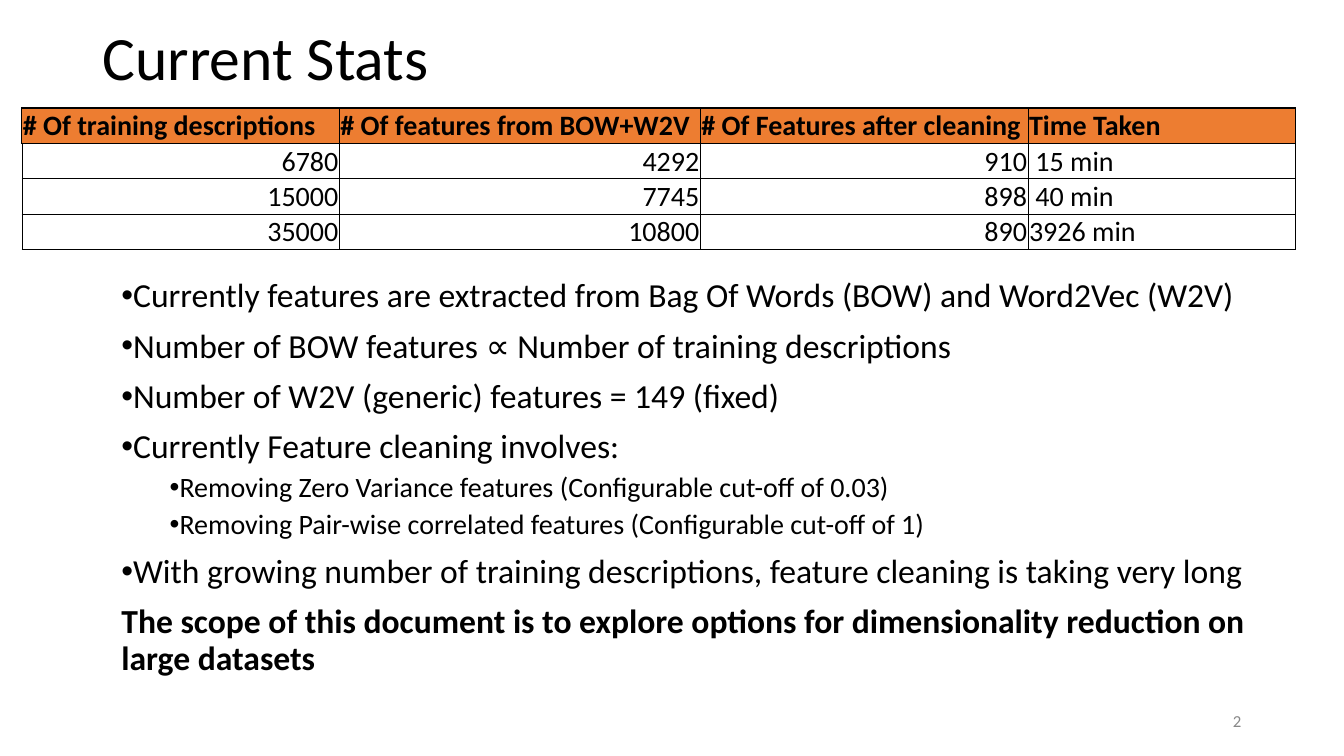
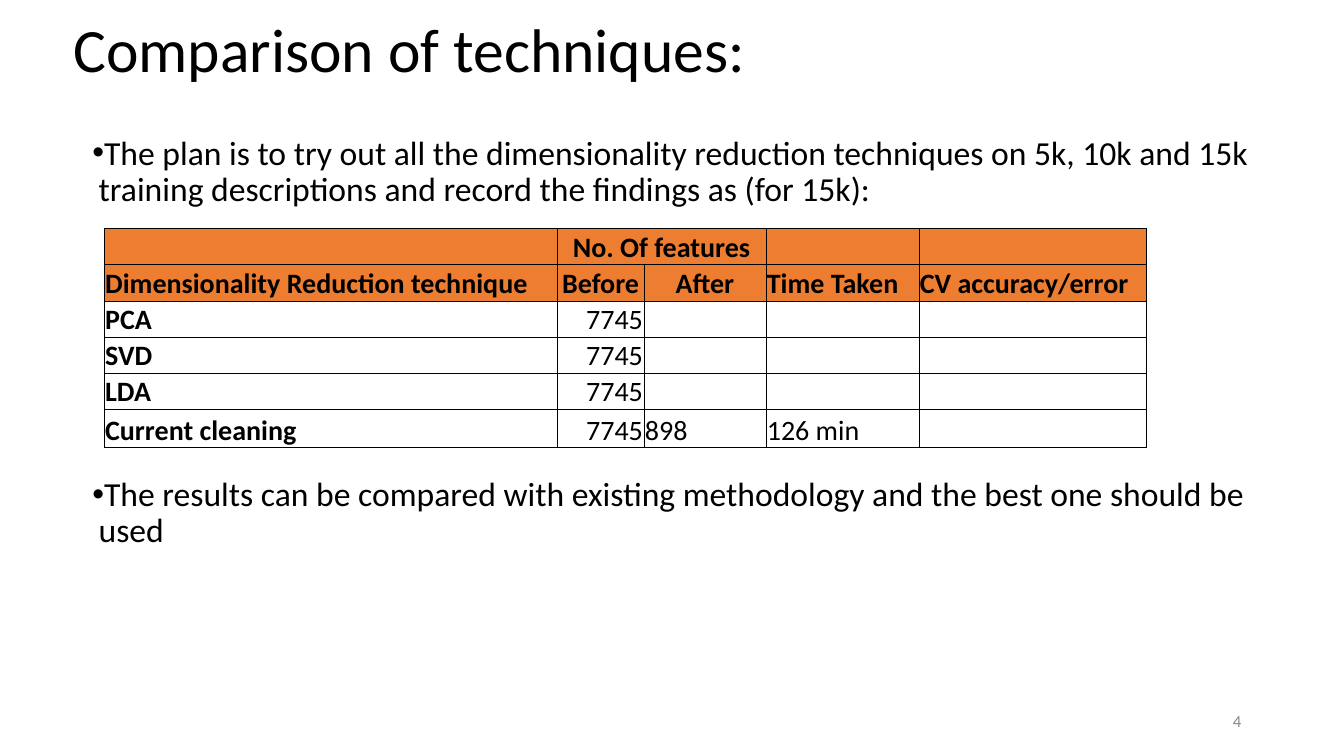
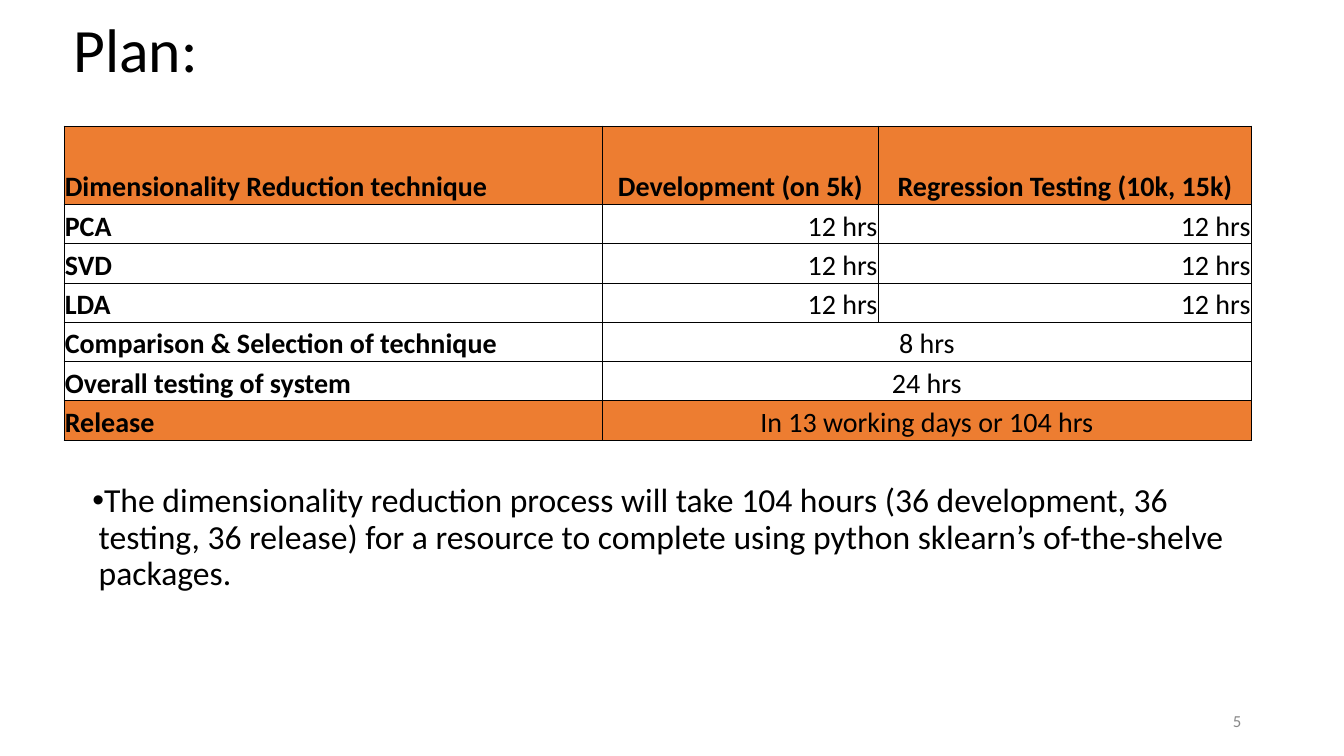
from typing import NamedTuple

from lxml.etree import SubElement
from pptx import Presentation
from pptx.dml.color import RGBColor
from pptx.enum.text import MSO_ANCHOR as Anchor, MSO_AUTO_SIZE as AutoSize, PP_ALIGN as Align
from pptx.oxml.ns import qn
from pptx.util import Inches, Pt

WIDTH, HEIGHT = Inches(13.33), Inches(7.5)
COLUMN, ROW = WIDTH / 160, HEIGHT / 90
FONT = "Calibri"
BLACK, GREY, ORANGE = "000000", "888888", "ED7D31"
ALIGNMENTS = {"l": Align.LEFT, "c": Align.CENTER, "r": Align.RIGHT}


class Box(NamedTuple):
    left: float
    top: float
    width: float
    height: float

    def emu(self):
        return (int(self.left * COLUMN), int(self.top * ROW),
                int(self.width * COLUMN), int(self.height * ROW))


class Level(NamedTuple):
    indent: float
    hang: float
    size: int
    before: int
    depth: int = 0
    bold: bool = False


POINT = Level(3, 0.75, 24, 10)
SUBPOINT = Level(9, 1, 20, 5, depth=1)
CONCLUSION = Level(2.25, 0, 24, 10, bold=True)
AFTER_TABLE = POINT._replace(before=192)

HIGH_TITLE = Box(7.55, 1.56, 138, 9.36)
LOW_TITLE = Box(11, 1.56, 138, 11.28)
NUMBER = Box(113, 83.4, 36, 4.8)


def colour(value):
    return RGBColor.from_string(value)


def style(paragraph, size, value=BLACK, bold=False):
    for run in paragraph.runs:
        run.font.name = FONT
        run.font.size = Pt(size)
        run.font.bold = bold
        run.font.color.rgb = colour(value)


def place(shape, box, inset=1.2, anchor=Anchor.TOP):
    shape.left, shape.top, shape.width, shape.height = box.emu()
    frame = shape.text_frame
    frame.word_wrap = True
    frame.auto_size = AutoSize.NONE
    frame.vertical_anchor = anchor
    frame.margin_left = frame.margin_right = int(1.2 * COLUMN)
    frame.margin_top = frame.margin_bottom = int(inset * ROW)
    return frame


def add_slide(deck, heading, number, title_box=HIGH_TITLE):
    slide = deck.slides.add_slide(deck.slide_layouts[1])
    title = place(slide.shapes.title, title_box, anchor=Anchor.MIDDLE).paragraphs[0]
    title.text = heading
    title.alignment = Align.LEFT
    title.line_spacing = 0.9
    style(title, 44)

    page = place(slide.shapes.add_textbox(*NUMBER.emu()), NUMBER, 0.6, Anchor.MIDDLE).paragraphs[0]
    page.text = str(number)
    page.alignment = Align.RIGHT
    style(page, 12, GREY)
    return slide


def fill_list(slide, box, points):
    frame = place(slide.placeholders[1], box)
    frame.text = "\n".join(text for _, text in points)
    for paragraph, (level, _) in zip(frame.paragraphs, points):
        paragraph.level = level.depth
        paragraph.alignment = Align.LEFT
        paragraph.line_spacing = 0.9
        paragraph.space_before = Pt(level.before)
        style(paragraph, level.size, bold=level.bold)
        properties = paragraph._p.get_or_add_pPr()
        properties.set("marL", str(int(level.indent * COLUMN)))
        properties.set("indent", str(int(-level.hang * COLUMN)))
        if level.hang:
            SubElement(properties, qn("a:buFont"), typeface="Arial")
            SubElement(properties, qn("a:buChar"), char="•")
        else:
            SubElement(properties, qn("a:buNone"))


def draw_borders(cell, heavy_edges):
    properties = cell._tc.get_or_add_tcPr()
    for edge, heavy in heavy_edges.items():
        line = SubElement(properties, qn(f"a:ln{edge}"), w=str(Pt(1 if heavy else 0.5)))
        SubElement(SubElement(line, qn("a:solidFill")), qn("a:srgbClr"), val=BLACK)


def add_grid(slide, box, widths, heights, rows, headers=1, orange=(0,), bold_labels=True, framed=0):
    table = slide.shapes.add_table(len(heights), len(widths), *box.emu()).table
    table.first_row = table.horz_banding = False
    for column, share in zip(table.columns, widths):
        column.width = int(box.width * COLUMN * share / sum(widths))
    for row, share in zip(table.rows, heights):
        row.height = int(box.height * ROW * share / sum(heights))

    for r, (alignments, texts) in enumerate(rows):
        for c, (alignment, text) in enumerate(zip(alignments, texts)):
            cell = table.cell(r, c)
            draw_borders(cell, {
                "L": c == 0 and r < framed,
                "R": c == len(widths) - 1 and r < framed,
                "T": framed and r in (0, framed),
                "B": r == framed - 1,
            })
            if r in orange:
                cell.fill.solid()
                cell.fill.fore_color.rgb = colour(ORANGE)
            else:
                cell.fill.background()
            cell.vertical_anchor = Anchor.BOTTOM
            cell.margin_left = cell.margin_right = cell.margin_top = Inches(0.01)
            cell.margin_bottom = 0
            if text is None:
                table.cell(r, c - 1).merge(cell)
            elif text:
                paragraph = cell.text_frame.paragraphs[0]
                paragraph.text = text
                paragraph.alignment = ALIGNMENTS[alignment]
                style(paragraph, 20, bold=r < headers or (bold_labels and c == 0))


def stats_slide(deck):
    slide = add_slide(deck, "Current Stats", 2, LOW_TITLE)
    add_grid(slide, Box(2.6, 12.85, 151.6, 16.8), [3.15, 3.58, 3.25, 2.65], [1] * 4, [
        ("llll", ["# Of training descriptions", "# Of features from BOW+W2V",
                  "# Of Features after cleaning", "Time Taken"]),
        ("rrrl", ["6780", "4292", "910", " 15 min"]),
        ("rrrl", ["15000", "7745", "898", " 40 min"]),
        ("rrrl", ["35000", "10800", "890", "3926 min"]),
    ], bold_labels=False, framed=1)
    fill_list(slide, Box(11, 32, 143.2, 39.4), [
        (POINT, "Currently features are extracted from Bag Of Words (BOW) and Word2Vec (W2V)"),
        (POINT, "Number of BOW features ∝ Number of training descriptions"),
        (POINT, "Number of W2V (generic) features = 149 (fixed)"),
        (POINT, "Currently Feature cleaning involves:"),
        (SUBPOINT, "Removing Zero Variance features (Configurable cut-off of 0.03)"),
        (SUBPOINT, "Removing Pair-wise correlated features (Configurable cut-off of 1)"),
        (POINT, "With growing number of training descriptions, feature cleaning is taking very long"),
        (CONCLUSION, "The scope of this document is to explore options for dimensionality "
                     "reduction on large datasets"),
    ])


def comparison_slide(deck):
    slide = add_slide(deck, "Comparison of techniques:", 4)
    fill_list(slide, Box(7.55, 15, 143.2, 64.4), [
        (POINT, "The plan is to try out all the dimensionality reduction techniques on 5k, 10k "
                "and 15k training descriptions and record the findings as (for 15k):"),
        (AFTER_TABLE, "The results can be compared with existing methodology and the best one "
                      "should be used"),
    ])
    untested = [("lrlll", [name, "7745", "", "", ""]) for name in ("PCA", "SVD", "LDA")]
    add_grid(slide, Box(12.4, 27.2, 124.1, 26.1), [4.5, 0.86, 1.21, 1.52, 2.26],
             [0.36] * 5 + [0.38], [
        ("lccll", ["", "No. Of features", None, "", ""]),
        ("lccll", ["Dimensionality Reduction technique", "Before", "After",
                   "Time Taken", "CV accuracy/error"]),
        *untested,
        ("lrlll", ["Current cleaning", "7745", "898", "126 min", ""]),
    ], headers=2, orange=(0, 1), framed=6)


def plan_slide(deck):
    slide = add_slide(deck, "Plan:", 5)
    efforts = [("lrr", [name, "12 hrs", "12 hrs"]) for name in ("PCA", "SVD", "LDA")]
    add_grid(slide, Box(7.6, 15, 141.4, 37.4), [5.34, 2.74, 3.7], [2] + [1] * 6, [
        ("lcc", ["Dimensionality Reduction technique", "Development (on 5k)",
                 "Regression Testing (10k, 15k)"]),
        *efforts,
        ("lcc", ["Comparison & Selection of technique", "8 hrs", None]),
        ("lcc", ["Overall testing of system", "24 hrs", None]),
        ("lcc", ["Release", "In 13 working days or 104 hrs", None]),
    ], orange=(0, 6))
    fill_list(slide, Box(7.55, 56.4, 143.2, 16), [
        (POINT, "The dimensionality reduction process will take 104 hours (36 development, 36 "
                "testing, 36 release) for a resource to complete using python sklearn’s "
                "of-the-shelve packages."),
    ])


def main():
    deck = Presentation()
    deck.slide_width, deck.slide_height = WIDTH, HEIGHT
    for build in (stats_slide, comparison_slide, plan_slide):
        build(deck)
    deck.save("out.pptx")


if __name__ == "__main__":
    main()
